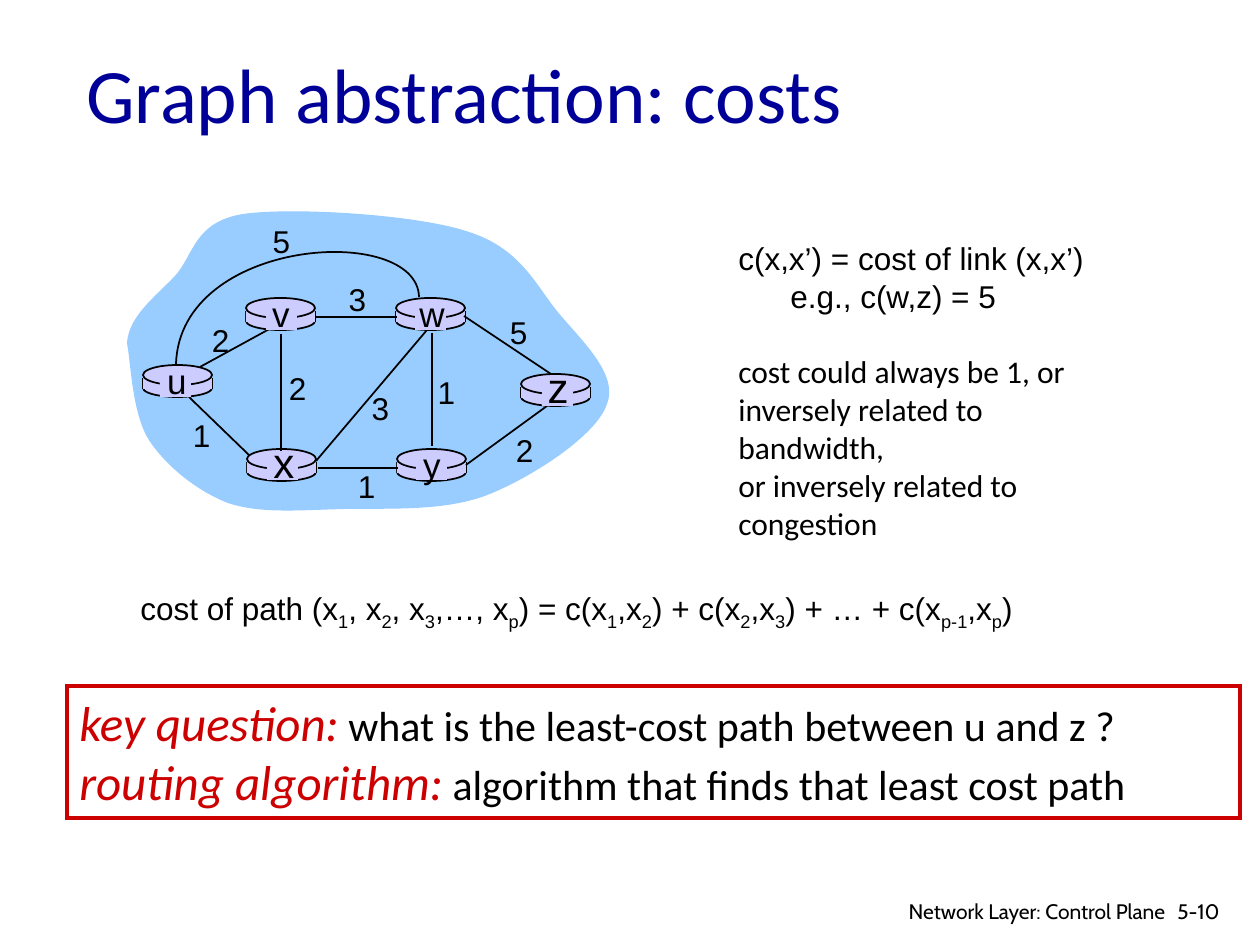
"""Build the slide on link and path costs in a network graph."""
from dataclasses import dataclass

import lxml.etree
import pptx
import pptx.dml.color
import pptx.enum.shapes
import pptx.enum.text
import pptx.oxml.ns
import pptx.util

ALIGN = pptx.enum.text.PP_ALIGN
ANCHOR = pptx.enum.text.MSO_ANCHOR
SHAPE = pptx.enum.shapes.MSO_SHAPE
STRAIGHT = pptx.enum.shapes.MSO_CONNECTOR.STRAIGHT
EMU_PER_PX = 914400 / 126


@dataclass(frozen=True)
class Theme:
    ink: str = "000000"
    title: str = "000099"
    accent: str = "CC0000"
    cloud: str = "99CCFF"
    router: str = "CCCCFF"
    sans: str = "Arial"
    heading: str = "Calibri"
    footer: str = "Cabin"
    title_size: int = 44
    key_size: int = 28
    question_size: int = 24
    body_size: int = 18
    footer_size: int = 12
    thin: float = 1
    thick: float = 2.25


@dataclass(frozen=True)
class Router:
    name: str
    left: int
    top: int
    patch_left: int
    patch_top: int
    label_center: int
    label_top: int
    size: int = 20


@dataclass(frozen=True)
class Link:
    x1: int
    y1: int
    x2: int
    y2: int


@dataclass(frozen=True)
class Cost:
    value: str
    left: int
    top: int


THEME = Theme()
ROUTERS = [
    Router("u", 143, 365, 160, 368, 177, 353),
    Router("x", 247, 449, 267, 451, 284, 430, 24),
    Router("v", 246, 298, 266, 301, 281, 286),
    Router("w", 396, 298, 415, 301, 430, 286),
    Router("y", 397, 449, 416, 451, 432, 437),
    Router("z", 521, 374, 542, 377, 558, 355, 24),
]
BACK_LINK = Link(200, 367, 275, 326)
LINKS = [
    Link(432, 333, 432, 446), Link(281, 334, 281, 451), Link(316, 461, 427, 330),
    Link(466, 465, 547, 406), Link(398, 468, 318, 468), Link(249, 455, 189, 397),
    Link(397, 317, 316, 317), Link(551, 374, 464, 316),
]
COSTS = [
    Cost("2", 199, 315), Cost("2", 276, 363), Cost("1", 180, 410), Cost("3", 359, 383),
    Cost("1", 345, 461), Cost("1", 425, 367), Cost("2", 503, 425), Cost("5", 497, 307),
    Cost("3", 336, 274), Cost("5", 260, 216),
]
CLOUD = [
    (127, 343), (129, 316), (155, 297), (175, 276), (194, 255), (194, 222), (243, 214),
    (291, 207), (413, 214), (466, 231), (519, 247), (534, 282), (557, 311),
    (581, 340), (619, 374), (607, 404), (597, 435), (534, 476), (490, 494),
    (446, 512), (388, 508), (344, 509), (301, 510), (261, 514), (228, 503),
    (197, 491), (166, 466), (149, 440), (132, 413), (131, 363), (127, 343),
]
LOOP = [(419, 297), (417, 223), (180, 237), (176, 364)]
PATH_COST = ("cost of path (x|1|, x|2|, x|3|,…, x|p|) = c(x|1|,x|2|) + "
             "c(x|2|,x|3|) + … + c(x|p-1|,x|p|)")
KEY_LINES = [
    ("key question:", " what is the least-cost path between u and z ?"),
    ("routing algorithm:", " algorithm that finds that least cost path"),
]


def px(length: float) -> int:
    return pptx.util.Emu(round(length * EMU_PER_PX))


def rgb(color: str):
    return pptx.dml.color.RGBColor.from_string(color)


def paint(shape, fill: str | None, line: str | None, width: float = THEME.thin) -> None:
    shape.shadow.inherit = False
    if fill:
        shape.fill.solid()
        shape.fill.fore_color.rgb = rgb(fill)
    else:
        shape.fill.background()
    if line:
        shape.line.color.rgb = rgb(line)
        shape.line.width = pptx.util.Pt(width)
    else:
        shape.line.fill.background()


def add_block(parent, kind, left: int, top: int, width: int, height: int,
              fill: str | None, line: str | None, weight: float = THEME.thin):
    shape = parent.shapes.add_shape(kind, px(left), px(top), px(width), px(height))
    paint(shape, fill, line, weight)
    return shape


def add_line(parent, link: Link) -> None:
    connector = parent.shapes.add_connector(
        STRAIGHT, px(link.x1), px(link.y1), px(link.x2), px(link.y2))
    connector.line.color.rgb = rgb(THEME.ink)
    connector.line.width = pptx.util.Pt(THEME.thin)
    lxml.etree.SubElement(connector._element.spPr, pptx.oxml.ns.qn("a:effectLst"))


def add_curve(parent, points: list[tuple[int, int]], fill: str | None, line: str | None) -> None:
    builder = parent.shapes.build_freeform(*points[0], scale=EMU_PER_PX)
    builder.add_line_segments(points[1:], close=fill is not None)
    shape = builder.convert_to_shape()
    segments = list(shape._element.iter(pptx.oxml.ns.qn("a:lnTo")))
    for first in range(0, len(points) - 1, 3):
        curve = lxml.etree.Element(pptx.oxml.ns.qn("a:cubicBezTo"))
        segments[first].addprevious(curve)
        for segment in segments[first:first + 3]:
            curve.append(segment[0])
    for segment in segments:
        segment.getparent().remove(segment)
    paint(shape, fill, line)


def add_frame(parent, left: int, top: int, width: int, height: int, wrap: bool = False):
    frame = parent.shapes.add_textbox(px(left), px(top), px(width), px(height)).text_frame
    frame.word_wrap = wrap
    return frame


def add_text(paragraph, text: str, *, size: int = THEME.body_size, font: str = THEME.sans,
             color: str = THEME.ink, italic: bool = False, subscript: bool = False,
             align=ALIGN.LEFT) -> None:
    paragraph.alignment = align
    run = paragraph.add_run()
    run.text = text
    run.font.size = pptx.util.Pt(size)
    run.font.name = font
    run.font.color.rgb = rgb(color)
    run.font.italic = italic
    if subscript:
        run._r.get_or_add_rPr().set("baseline", "-25000")


def add_router(parent, router: Router) -> None:
    left, top, right = router.left, router.top, router.left + 69
    add_block(parent, SHAPE.OVAL, left, top + 14, 69, 18, THEME.router, THEME.ink)
    for side in (left, right):
        add_line(parent, Link(side, top + 13, side, top + 24))
    add_block(parent, SHAPE.RECTANGLE, left, top + 13, 69, 11, THEME.router, None)
    add_block(parent, SHAPE.OVAL, left, top, 69, 20, THEME.router, THEME.ink)


def add_router_label(parent, router: Router) -> None:
    add_block(parent, SHAPE.RECTANGLE, router.patch_left, router.patch_top, 31, 29,
              THEME.router, None)
    frame = add_frame(parent, router.label_center - 23, router.label_top, 46,
                      63 if router.size == 24 else 54)
    add_text(frame.paragraphs[0], router.name, size=router.size, align=ALIGN.CENTER)


def add_graph(slide) -> None:
    group = slide.shapes.add_group_shape()
    add_curve(group, CLOUD, THEME.cloud, None)
    add_line(group, BACK_LINK)
    for router in ROUTERS:
        add_router(group, router)
    for link in LINKS:
        add_line(group, link)
    add_curve(group, LOOP, None, THEME.ink)
    for router in ROUTERS:
        add_router_label(group, router)
    for cost in COSTS:
        frame = add_frame(group, cost.left, cost.top, 43, 50)
        add_text(frame.paragraphs[0], cost.value, align=ALIGN.CENTER)


def add_explanations(slide) -> None:
    frame = add_frame(slide, 726, 233, 415, 277, wrap=True)
    add_text(frame.paragraphs[0], "c(x,x’) = cost of link (x,x’)")
    example = frame.add_paragraph()
    add_text(example, "e.g., c(w,z) = 5")
    example._p.get_or_add_pPr().set("marL", str(px(52)))
    for text in ("cost could always be 1, or", "inversely related to bandwidth,",
                 "or inversely related to", "congestion"):
        add_text(frame.add_paragraph(), text, font=THEME.heading)
    frame.paragraphs[2].space_before = pptx.util.Pt(21.5)
    formula = add_frame(slide, 128, 583, 931, 50).paragraphs[0]
    for index, part in enumerate(PATH_COST.split("|")):
        add_text(formula, part, subscript=index % 2 == 1)


def add_key_box(slide) -> None:
    box = add_block(slide, SHAPE.RECTANGLE, 67, 686, 1173, 132, None, THEME.accent, THEME.thick)
    lxml.etree.SubElement(box.line._get_or_add_ln(), pptx.oxml.ns.qn("a:miter"), lim="800000")
    frame = box.text_frame
    frame.word_wrap = True
    frame.vertical_anchor = ANCHOR.TOP
    for index, (term, meaning) in enumerate(KEY_LINES):
        paragraph = frame.add_paragraph() if index else frame.paragraphs[0]
        add_text(paragraph, term, size=THEME.key_size, font=THEME.heading,
                 color=THEME.accent, italic=True)
        add_text(paragraph, meaning, size=THEME.question_size, font=THEME.heading)


def main() -> None:
    presentation = pptx.Presentation()
    presentation.slide_width, presentation.slide_height = px(1260), px(945)
    slide = presentation.slides.add_slide(presentation.slide_layouts[6])
    title = add_frame(slide, 74, 30, 1071, 125, wrap=True)
    title.vertical_anchor = ANCHOR.MIDDLE
    add_text(title.paragraphs[0], "Graph abstraction: costs", size=THEME.title_size,
             font=THEME.heading, color=THEME.title)
    add_graph(slide)
    add_explanations(slide)
    add_key_box(slide)
    for text, left, width, align in (("5-10", 1165, 76, ALIGN.LEFT),
                                     ("Network Layer: Control Plane", 878, 300, ALIGN.RIGHT)):
        add_text(add_frame(slide, left, 892, width, 35, wrap=True).paragraphs[0], text,
                 size=THEME.footer_size, font=THEME.footer, align=align)
    presentation.save("out.pptx")


if __name__ == "__main__":
    main()
